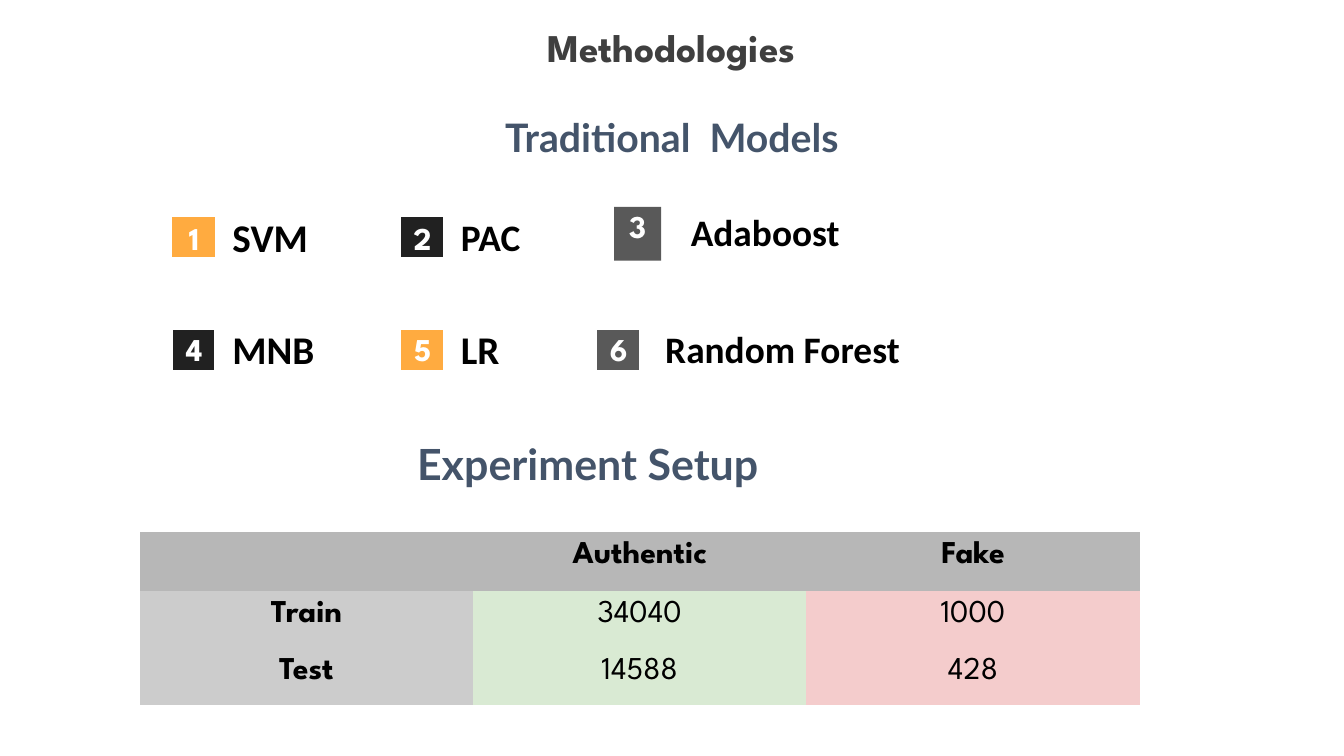
from pptx import Presentation
from pptx.dml.color import RGBColor
from pptx.enum.shapes import MSO_SHAPE
from pptx.enum.text import MSO_ANCHOR, PP_ALIGN
from pptx.util import Inches, Pt

SPARTAN = "League Spartan"
BLACK, WHITE, DARK, AMBER, GREY = "000000", "FFFFFF", "212121", "FFAB40", "595959"
PLAIN = "{2D5ABB26-0587-4C30-8999-92F81FD0307C}"


def color(code):
    return RGBColor.from_string(code)


def write(frame, text, size, font, ink, bold=True, align=PP_ALIGN.CENTER):
    para = frame.paragraphs[0]
    para.alignment = align
    run = para.add_run()
    run.text = text
    run.font.size = Pt(size)
    run.font.name = font
    run.font.bold = bold
    run.font.color.rgb = color(ink)
    return para


def inset(part, pad):
    part.vertical_anchor = MSO_ANCHOR.TOP
    part.margin_left = part.margin_right = Inches(pad)
    part.margin_top = part.margin_bottom = Inches(pad)


def label(slide, box, text, size, font, ink, pad=0.07, align=PP_ALIGN.CENTER):
    frame = slide.shapes.add_textbox(*map(Inches, box)).text_frame
    frame.word_wrap = True
    inset(frame, pad)
    return write(frame, text, size, font, ink, align=align)


def tile(slide, box, fill):
    shape = slide.shapes.add_shape(MSO_SHAPE.RECTANGLE, *map(Inches, box))
    shape.shadow.inherit = False
    shape.fill.solid()
    shape.fill.fore_color.rgb = color(fill)
    shape.line.fill.background()
    return shape


def model(slide, box, number, fill, drop, name, shift, size):
    left, top, width, height = box
    shape = tile(slide, box, fill)
    if drop is None:
        inset(shape.text_frame, 0)
        write(shape.text_frame, number, 17, SPARTAN, WHITE)
    else:
        shape.rotation = 270
        shape.line.color.rgb = color(WHITE)
        shape.line.width = Pt(3)
        label(slide, (left + 0.04, top + drop, 0.27, 0.25),
              number, 17, SPARTAN, WHITE, pad=0)
    right, down, wide = shift
    label(slide, (left + right, top + down, wide, 0.4),
          name, size, "Calibri", BLACK, align=PP_ALIGN.LEFT)


def models(slide, left, top):
    low = top + 0.85
    rows = [
        ((left, top, 0.34, 0.36), "1", AMBER, 0.05, "SVM", (0.39, -0.06, 0.96), 21),
        ((left + 1.7, top, 0.34, 0.36), "2", DARK, 0.05, "PAC", (0.39, -0.06, 1.38), 20),
        ((left + 3.3, top - 0.04, 0.35, 0.4), "3", GREY, None, "Adaboost", (0.5, -0.05, 1.38), 20),
        ((left, low, 0.34, 0.35), "4", DARK, 0.02, "MNB", (0.39, -0.08, 0.96), 21),
        ((left + 1.7, low, 0.34, 0.35), "5", AMBER, 0.02, "LR", (0.39, -0.08, 0.96), 21),
        ((left + 3.16, low, 0.34, 0.35), "6", GREY, 0.02, "Random Forest", (0.45, -0.07, 2.57), 20),
    ]
    for row in rows:
        model(slide, *row)


def setup(slide, box):
    data = [["", "Authentic", "Fake"], ["Train", "34040", "1000"], ["Test", "14588", "428"]]
    fills = ["CCCCCC", "D9EAD3", "F4CCCC"]
    table = slide.shapes.add_table(3, 3, *map(Inches, box)).table
    table._tbl.tblPr.find("{*}tableStyleId").text = PLAIN
    for r, line in enumerate(data):
        for c, text in enumerate(line):
            cell = table.cell(r, c)
            inset(cell, 0.07)
            cell.fill.solid()
            cell.fill.fore_color.rgb = color(fills[c] if r else "B7B7B7")
            if text:
                write(cell.text_frame, text, 17, SPARTAN, BLACK, bold=r == 0 or c == 0)


def main():
    deck = Presentation()
    deck.slide_width = Inches(10)
    deck.slide_height = deck.slide_width * 9 // 16
    slide = deck.slides.add_slide(deck.slide_layouts[6])
    label(slide, (1.04, 0.17, 7.91, 0.4), "Methodologies", 21, SPARTAN, "3F3F3F", pad=0)
    label(slide, (3.03, 0.77, 3.94, 0.4), "Traditional  Models", 21, "Lato", "44546A")
    models(slide, 1.27, 1.58)
    head = label(slide, (1.78, 3.23, 5.19, 0.4), "Experiment Setup", 23, "Lato", "44546A")
    head.line_spacing = 0.9
    setup(slide, (1.04, 3.96, 7.44, 1.27))
    deck.save("out.pptx")


if __name__ == "__main__":
    main()
